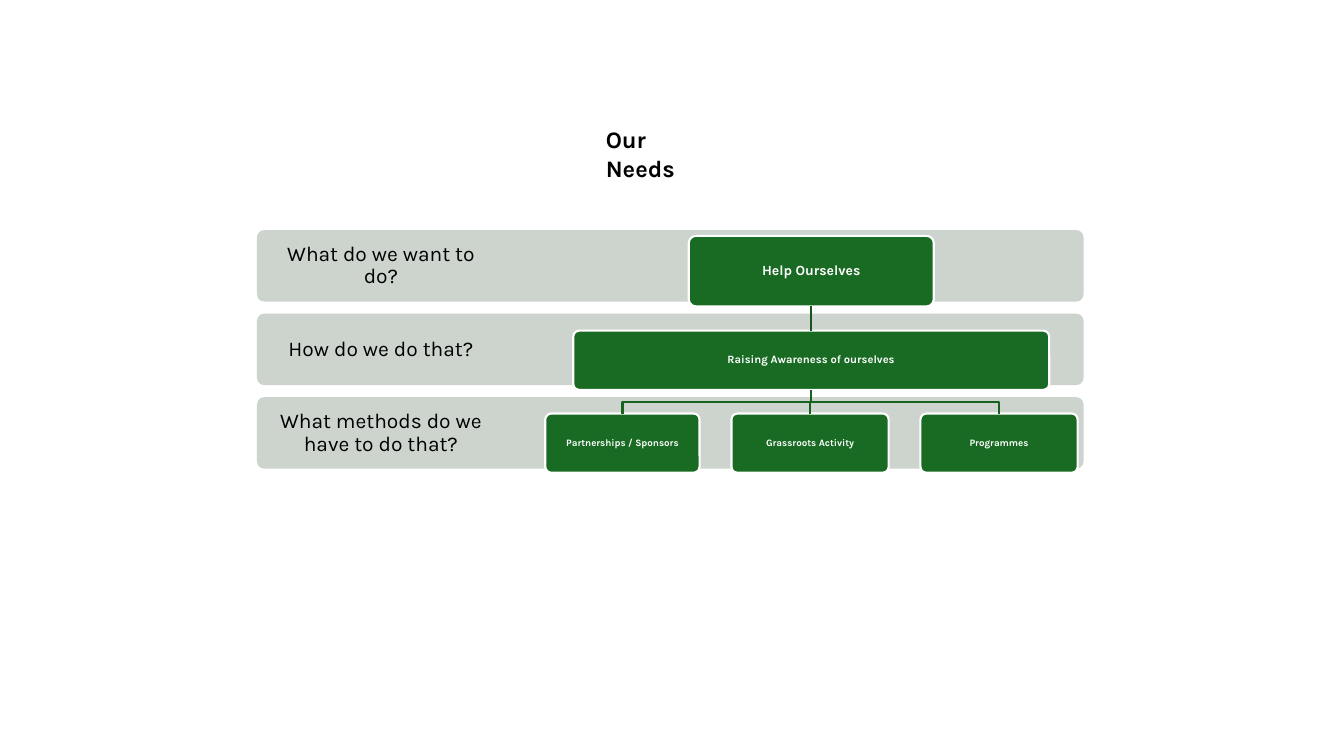
from lxml.etree import SubElement
from pptx import Presentation
from pptx.dml.color import RGBColor
from pptx.enum.shapes import MSO_CONNECTOR, MSO_SHAPE
from pptx.enum.text import MSO_ANCHOR, MSO_AUTO_SIZE, PP_ALIGN
from pptx.oxml.ns import qn
from pptx.util import Pt

COLORS = {
    "band": "CCD4CD",
    "node": "196B24",
    "stem": "14561D",
    "branch": "176121",
    "white": "FFFFFF",
    "black": "000000",
}
color = {name: RGBColor.from_string(value) for name, value in COLORS.items()}

deck = Presentation()
deck.slide_width, deck.slide_height = Pt(960), Pt(540)
slide = deck.slides.add_slide(deck.slide_layouts[5])
shapes = slide.shapes


def write(shape, text, size, ink, bold, inset, align=PP_ALIGN.CENTER, space=0.9):
    frame = shape.text_frame
    frame.word_wrap = True
    frame.auto_size = MSO_AUTO_SIZE.NONE
    frame.vertical_anchor = MSO_ANCHOR.MIDDLE
    frame.margin_left = frame.margin_right = Pt(inset)
    frame.margin_top = frame.margin_bottom = Pt(inset)
    frame.text = text
    para = frame.paragraphs[0]
    para.alignment = align
    para.line_spacing = space
    para.font.name = "Karla"
    para.font.size = Pt(size)
    para.font.bold = bold
    para.font.color.rgb = color[ink]


def add_box(left, top, width, height, fill):
    box = shapes.add_shape(MSO_SHAPE.ROUNDED_RECTANGLE,
                           Pt(left), Pt(top), Pt(width), Pt(height))
    box.adjustments[0] = 0.1
    box.shadow.inherit = False
    box.fill.solid()
    box.fill.fore_color.rgb = color[fill]
    box.line.fill.background()
    return box


# Title
title = shapes.title
title.left, title.top, title.width, title.height = Pt(425.5), Pt(85.7), Pt(114), Pt(28)
write(title, "Our Needs", 16.9, "black", True, 3.6, PP_ALIGN.LEFT, 1.0)
title.text_frame.vertical_anchor = MSO_ANCHOR.TOP
title.text_frame.margin_left = Pt(7.2)
title.text_frame.margin_right = Pt(36)

# Question bands
questions = ["What do we want to do?", "How do we do that?",
             "What methods do we have to do that?"]
for row, question in enumerate(questions):
    top = 164.3 + 59.7 * row
    add_box(183.6, top, 590.4, 51.1, "band")
    label = shapes.add_textbox(Pt(183.6), Pt(top), Pt(177.1), Pt(51.1))
    write(label, question, 15, "black", False, 8.6)

# Answer boxes: text, size, left, top, width, height
answers = [
    ("Help Ourselves", 10, 492, 168.5, 175, 50.4),
    ("Raising Awareness of ourselves", 8, 409.5, 236.2, 340, 42.3),
    ("Partnerships / Sponsors", 7, 389.5, 295.4, 110.2, 42.3),
    ("Grassroots Activity", 7, 522.5, 295.4, 112.3, 42.3),
    ("Programmes", 7, 657.5, 295.4, 112.3, 42.3),
]
nodes = []
for text, size, left, top, width, height in answers:
    node = add_box(left, top, width, height, "node")
    node.line.color.rgb = color["white"]
    node.line.width = Pt(1.5)
    write(node, text, size, "white", True, 3.5)
    nodes.append(node)
goal, means, *methods = nodes

# Stem from goal to means
stem = shapes.add_connector(MSO_CONNECTOR.STRAIGHT, 0, 0, 0, 0)
stem.begin_connect(goal, 2)
stem.end_connect(means, 0)
stem.line.color.rgb = color["stem"]
stem.line.width = Pt(1.5)
SubElement(stem._element.spPr, qn("a:effectLst"))

# Branches from means to each method
start = means.left + means.width // 2
base = means.top + means.height
for method in methods:
    end = method.left + method.width // 2
    bend = (base + method.top) // 2
    path = shapes.build_freeform(start, base)
    path.add_line_segments([(start, bend), (end, bend), (end, method.top)], close=False)
    branch = path.convert_to_shape()
    branch.shadow.inherit = False
    branch.fill.background()
    branch.line.color.rgb = color["branch"]
    branch.line.width = Pt(1.5)

deck.save("out.pptx")
